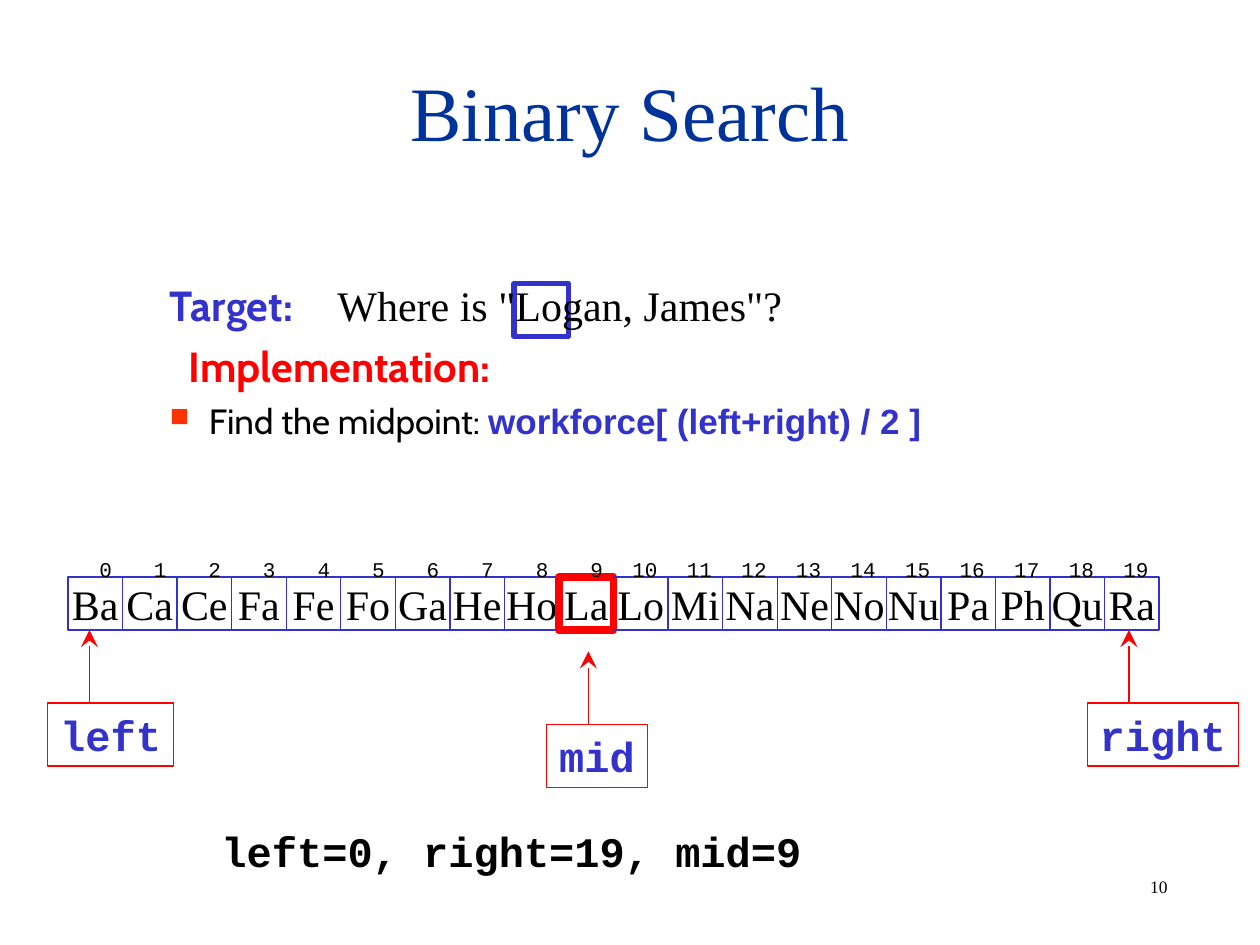
from lxml.etree import SubElement
from pptx import Presentation
from pptx.dml.color import RGBColor
from pptx.enum.shapes import MSO_CONNECTOR, MSO_SHAPE
from pptx.enum.text import MSO_ANCHOR, PP_ALIGN
from pptx.oxml.ns import qn
from pptx.util import Inches, Pt

# The slide is a grid of 100 columns by 75 rows.
UNIT = Inches(0.1)
BLACK, BLUE, RED, NAVY = "000000", "3333CC", "FF0000", "003399"
SERIF, CODE, SANS = "Times New Roman", "Courier New", "Cabin"

presentation = Presentation()
presentation.slide_width, presentation.slide_height = 100 * UNIT, 75 * UNIT
slide = presentation.slides.add_slide(presentation.slide_layouts[6])


def style(font, name, size, color, bold=False):
    font.name, font.size, font.bold = name, Pt(size), bold
    font.color.rgb = RGBColor.from_string(color)


def add_box(column, row, columns, rows, text="", line=None, weight=0.75, wrap=True):
    """Add a text box, or an outlined rectangle when a line colour is given."""
    place = [round(length * UNIT) for length in (column, row, columns, rows)]
    if line:
        shape = slide.shapes.add_shape(MSO_SHAPE.RECTANGLE, *place)
        shape.shadow.inherit = False
        shape.fill.background()
        shape.line.color.rgb = RGBColor.from_string(line)
        shape.line.width = Pt(weight)
    else:
        shape = slide.shapes.add_textbox(*place)
    shape.text_frame.word_wrap = wrap
    shape.text_frame.vertical_anchor = MSO_ANCHOR.TOP
    shape.text_frame.text = text
    paragraph = shape.text_frame.paragraphs[0]
    paragraph.alignment = PP_ALIGN.LEFT
    return shape.text_frame, paragraph


# Slide number and title
_, number = add_box(90.3, 69, 7.8, 2.7, "10")
style(number.font, SERIF, 10, BLACK)
title_frame, title = add_box(7.5, 2.5, 85, 12.5, "Binary Search")
title_frame.vertical_anchor = MSO_ANCHOR.MIDDLE
title.alignment = PP_ALIGN.CENTER
style(title.font, SERIF, 44, NAVY)

# Target and implementation
body, target = add_box(7.5, 21.7, 87.5, 45, "Target:")
implementation, midpoint = body.add_paragraph(), body.add_paragraph()
implementation.text = "Implementation:"
implementation.space_before = Pt(6)
midpoint.space_before = Pt(5)
for paragraph, margin, indent in (
    (target, 5, 0), (implementation, 6.5, 0), (midpoint, 8.1, -3.1)
):
    properties = paragraph._p.get_or_add_pPr()
    properties.set("marL", str(round(margin * UNIT)))
    properties.set("indent", str(round(indent * UNIT)))
bullet_color = SubElement(midpoint._p.pPr, qn("a:buClr"))
SubElement(bullet_color, qn("a:srgbClr"), val="FF3300")
SubElement(midpoint._p.pPr, qn("a:buSzPct"), val="75000")
SubElement(midpoint._p.pPr, qn("a:buChar"), char="■")
style(target.font, SANS, 24, BLUE, True)
style(implementation.font, SANS, 24, RED, True)
for text, name, color, bold in (
    ("Find the midpoint: ", SANS, BLACK, False),
    ("workforce[ (left+right) / 2 ]", "Arial", BLUE, True),
):
    run = midpoint.add_run()
    run.text = text
    style(run.font, name, 20, color, bold)

add_box(40.8, 22.5, 4.3, 4.2, line=BLUE, weight=3)
_, question = add_box(25.8, 21.7, 38.1, 5, 'Where is "Logan, James"?')
style(question.font, SERIF, 24, BLACK)

# Sorted array with the middle element marked
names = "Ba Ca Ce Fa Fe Fo Ga He Ho La Lo Mi Na Ne No Nu Pa Ph Qu Ra".split()
pitch = 4.33
middle = (len(names) - 1) // 2
for index, name in enumerate(names):
    line, weight = (RED, 4.5) if index == middle else (BLUE, 0.75)
    cell_frame, cell = add_box(
        5.4 + index * pitch, 45.8, pitch, 4.2, name, line, weight, wrap=False
    )
    cell_frame.vertical_anchor = MSO_ANCHOR.MIDDLE
    cell.alignment = PP_ALIGN.CENTER
    style(cell.font, SERIF, 24, BLACK)

# Indexes, right-aligned at one tab stop per cell
_, indexes = add_box(6.9, 43.7, 86, 3, "\t".join(map(str, range(len(names)))))
tab_stops = SubElement(indexes._p.get_or_add_pPr(), qn("a:tabLst"))
for index in range(1, len(names)):
    position = round((1 + index * pitch) * UNIT)
    SubElement(tab_stops, qn("a:tab"), pos=str(position), algn="r")
style(indexes.font, CODE, 12, BLACK)

# Pointers: a label and an arrow up to the array
for text, column, row, columns in (
    ("left", 3.8, 55.8, 10), ("right", 86.3, 55.8, 12), ("mid", 43.4, 57.5, 8)
):
    _, label = add_box(column, row, columns, 5, text, RED, wrap=False)
    style(label.font, CODE, 24, BLUE, True)
    arrow_x = round((column + 3.3) * UNIT)
    arrow = slide.shapes.add_connector(
        MSO_CONNECTOR.STRAIGHT,
        arrow_x, round(row * UNIT), arrow_x, round((row - 5.8) * UNIT),
    )
    arrow.line.color.rgb = RGBColor.from_string(RED)
    arrow.line.width = Pt(0.75)
    SubElement(arrow.line._get_or_add_ln(), qn("a:tailEnd"), type="stealth", w="lg", len="lg")
    SubElement(arrow._element.spPr, qn("a:effectLst"))

_, state = add_box(16.6, 65, 48, 5, "left=0, right=19, mid=9", wrap=False)
style(state.font, CODE, 24, BLACK, True)

presentation.save("out.pptx")
